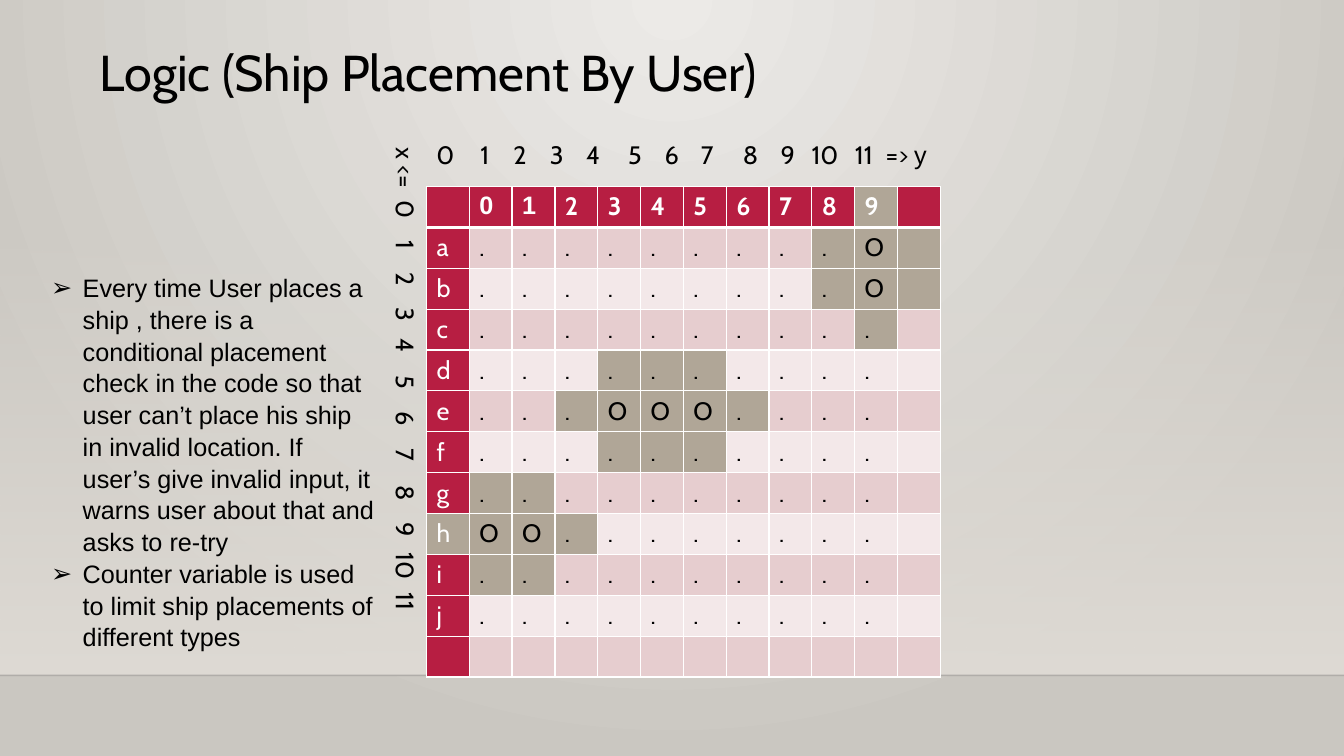
from lxml.etree import SubElement
from pptx import Presentation
from pptx.dml.color import RGBColor
from pptx.enum.shapes import MSO_CONNECTOR, MSO_SHAPE
from pptx.enum.text import MSO_ANCHOR, PP_ALIGN
from pptx.oxml import parse_xml
from pptx.oxml.ns import nsdecls, qn
from pptx.util import Pt

# Content
TITLE = "Logic (Ship Placement By User)"
BULLETS = [
    "Every time User places a ship , there is a conditional placement check in the code "
    "so that user can’t place his ship in invalid location. If user’s give invalid input, "
    "it warns user about that and asks to re-try",
    "Counter variable is used to limit ship placements of different types",
]
HEADER = ["", *"0123456789", ""]
# Row label, cell marks, shaded columns of the whole table row
BOARD = [
    ("a", ".........O", (9, 10, 11)),
    ("b", ".........O", (9, 10, 11)),
    ("c", "..........", (10,)),
    ("d", "..........", (4, 5, 6)),
    ("e", "...OOO....", (3, 4, 5, 6, 7)),
    ("f", "..........", (4, 5, 6)),
    ("g", "..........", (1, 2)),
    ("h", "OO........", (0, 1, 2, 3)),
    ("i", "..........", (1, 2)),
    ("j", "..........", ()),
    ("", "", ()),
]
INDEXES = [str(number) for number in range(12)]
Y_AXIS = "\t".join(INDEXES + ["=> "])
Y_TABS = [31.5, 55, 81, 107, 137, 163, 189, 219, 246, 268, 299, 321]
X_AXIS = "\t" + "\t".join(INDEXES)
X_TABS = [8, 36.5, 60, 85, 106.5, 133, 159, 185.5, 211.5, 238, 260, 288]

# Look
BLACK, WHITE = "000000", "FFFFFF"
CRIMSON, SHADED = "B71E42", "B0A697"
BANDS = ["E6CDCF", "F3E8E9"]
SLIDE_WIDTH, SLIDE_HEIGHT = 960, 540
FLOOR_TOP = 482.4
BOARD_LEFT, BOARD_TOP = 304.6, 133.2
COLUMN_WIDTH, ROW_HEIGHT = 30.6, 28.8


def color(hex_string):
    return RGBColor.from_string(hex_string)


def write(paragraph, text, font="Cabin", size=18, ink=BLACK, bold=False):
    run = paragraph.add_run()
    run.text = text
    run.font.name, run.font.size, run.font.bold = font, Pt(size), bold
    run.font.color.rgb = color(ink)


def add_box(left, top, width, height, rotation=0):
    box = slide.shapes.add_textbox(Pt(left), Pt(top), Pt(width), Pt(height))
    box.rotation = rotation
    box.text_frame.word_wrap = True
    return box.text_frame


def set_tabs(paragraph, positions):
    tab_list = SubElement(paragraph._p.get_or_add_pPr(), qn("a:tabLst"))
    for position in positions:
        SubElement(tab_list, qn("a:tab"), pos=str(Pt(position)), algn="l")


def set_gradient(fill, owner, stops, shade):
    fill.gradient()
    plain = next(owner.iter(qn("a:gradFill")))
    stop_xml = "".join(
        f'<a:gs pos="{position * 1000}"><a:srgbClr val="{tint}">'
        f'<a:alpha val="{alpha * 1000}"/></a:srgbClr></a:gs>'
        for position, tint, alpha in stops)
    plain.getparent().replace(plain, parse_xml(
        f'<a:gradFill {nsdecls("a")} rotWithShape="1"><a:gsLst>{stop_xml}</a:gsLst>{shade}</a:gradFill>'))


def set_borders(cell, top, bottom):
    properties = cell._tc.get_or_add_tcPr()
    for side, width in (("L", 1), ("R", 1), ("T", top), ("B", bottom)):
        properties.append(parse_xml(
            f'<a:ln{side} {nsdecls("a")} w="{Pt(width)}"><a:solidFill>'
            f'<a:srgbClr val="{WHITE}"/></a:solidFill></a:ln{side}>'))


presentation = Presentation()
presentation.slide_width, presentation.slide_height = Pt(SLIDE_WIDTH), Pt(SLIDE_HEIGHT)
slide = presentation.slides.add_slide(presentation.slide_layouts[5])

# Background, wall and floor line
set_gradient(slide.background.fill, slide.element,
             [(0, "ECEAE7", 100), (100, "CAC7C1", 100)],
             '<a:path path="circle"><a:fillToRect l="43000" r="43000" b="100000"/></a:path>')
wall = slide.shapes.add_shape(MSO_SHAPE.RECTANGLE, 0, Pt(159), Pt(SLIDE_WIDTH), Pt(FLOOR_TOP - 159))
wall.shadow.inherit = False
wall.line.fill.background()
set_gradient(wall.fill, wall.element, [(0, "DFDBD5", 0), (100, "DFDBD5", 100)],
             '<a:lin ang="5400000" scaled="0"/>')
floor = slide.shapes.add_connector(MSO_CONNECTOR.STRAIGHT, 0, Pt(FLOOR_TOP), Pt(SLIDE_WIDTH), Pt(FLOOR_TOP))
floor.line.width = Pt(1)
floor.line.color.rgb = color("000001")
SubElement(next(floor.element.iter(qn("a:srgbClr"))), qn("a:alpha"), val="20000")
SubElement(floor.element.spPr, qn("a:effectLst"))

# Title
title = slide.shapes.title
title.left, title.top, title.width, title.height = Pt(64), Pt(25.2), Pt(550), Pt(51)
title.text_frame.vertical_anchor = MSO_ANCHOR.MIDDLE
title.text_frame.paragraphs[0].alignment = PP_ALIGN.LEFT
write(title.text_frame.paragraphs[0], TITLE, size=36)

# Game board
rows = [HEADER] + [[label, *marks.ljust(11)] for label, marks, _ in BOARD]
shaded_columns = [(10,)] + [shaded for _, _, shaded in BOARD]
frame = slide.shapes.add_table(len(rows), len(HEADER), Pt(BOARD_LEFT), Pt(BOARD_TOP),
                               Pt(COLUMN_WIDTH * len(HEADER)), Pt(ROW_HEIGHT * len(rows)))
board = frame.table
for column in board.columns:
    column.width = Pt(COLUMN_WIDTH)
for row_index, values in enumerate(rows):
    board.rows[row_index].height = Pt(ROW_HEIGHT)
    for column_index, value in enumerate(values):
        cell = board.cell(row_index, column_index)
        is_header = row_index == 0
        is_label = is_header or column_index == 0
        set_borders(cell, top=3 if row_index == 1 else 1, bottom=3 if is_header else 1)
        cell.fill.solid()
        base = CRIMSON if is_label else BANDS[(row_index - 1) % 2]
        cell.fill.fore_color.rgb = color(SHADED if column_index in shaded_columns[row_index] else base)
        if value.strip():
            write(cell.text_frame.paragraphs[0], value, bold=is_header,
                  font="Arial" if is_header and value in "01" else "Cabin",
                  ink=WHITE if is_label else BLACK)

# Axis labels
y_axis = add_box(BOARD_LEFT, 95.8, 484.6, 29).paragraphs[0]
set_tabs(y_axis, Y_TABS)
write(y_axis, Y_AXIS)
write(y_axis, "y", font="Arial")
x_axis = add_box(114.5, 288.7, 350.6, 29, rotation=90).paragraphs[0]
set_tabs(x_axis, X_TABS)
write(x_axis, X_AXIS)
write(add_box(262, 111.6, 55.4, 29, rotation=90).paragraphs[0], "x <=")

# Explanation
explanation = add_box(29.5, 190, 245.5, 269.3)
for index, text in enumerate(BULLETS):
    paragraph = explanation.add_paragraph() if index else explanation.paragraphs[0]
    paragraph.line_spacing = 1.05
    properties = paragraph._p.get_or_add_pPr()
    properties.set("marL", str(Pt(22.5)))
    properties.set("indent", str(Pt(-22.5)))
    SubElement(properties, qn("a:buFont"), typeface="Arial")
    SubElement(properties, qn("a:buChar"), char="➢")
    write(paragraph, text, font="Arial")

presentation.save("out.pptx")
